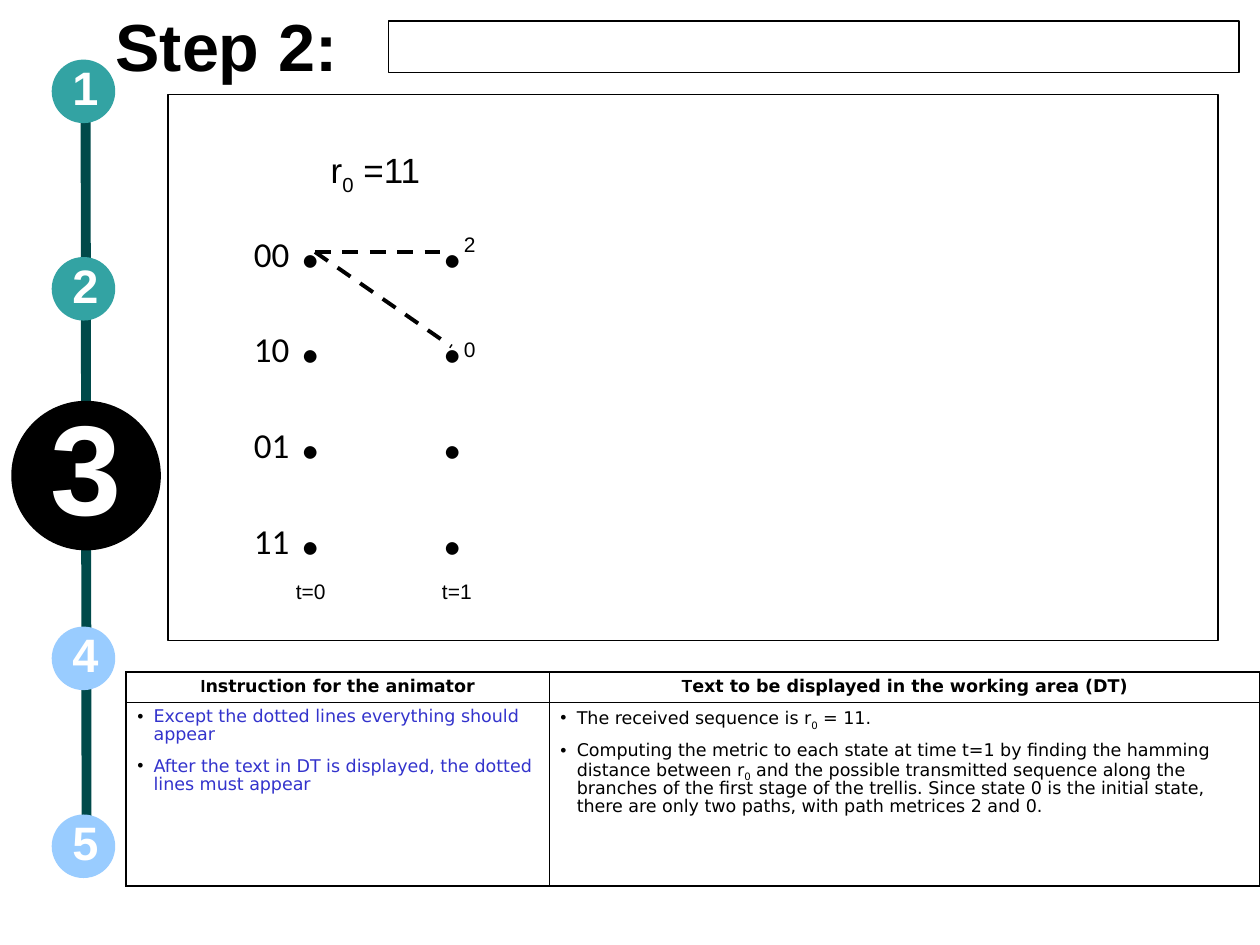
from lxml.etree import SubElement
from pptx import Presentation
from pptx.dml.color import RGBColor
from pptx.enum.dml import MSO_LINE
from pptx.enum.shapes import MSO_CONNECTOR, MSO_SHAPE
from pptx.enum.text import MSO_ANCHOR, MSO_AUTO_SIZE, PP_ALIGN
from pptx.oxml.ns import qn
from pptx.util import Emu, Inches, Pt

COLORS = {"ink": "000000", "paper": "FFFFFF", "rail": "004A4A",
          "done": "33A3A3", "next": "99CCFF", "note": "3333CC"}
SUB = {"baseline": -25}


class StepSlide:
    """Draws a storyboard step on a grid of 120 columns by 90 rows."""

    def __init__(self):
        self.deck = Presentation()
        self.deck.slide_width, self.deck.slide_height = Inches(10), Inches(7.5)
        self.unit = self.deck.slide_width / 120
        self.slide = self.deck.slides.add_slide(self.deck.slide_layouts[5])
        self.shapes = self.slide.shapes

    def span(self, *cells):
        return [Emu(round(cell * self.unit)) for cell in cells]

    def color(self, name):
        return RGBColor.from_string(COLORS[name])

    def frame(self, frame, margins, **values):
        sides = ("margin_left", "margin_top", "margin_right", "margin_bottom")
        settings = dict(zip(sides, map(Inches, margins * 2)), word_wrap=True,
                        auto_size=MSO_AUTO_SIZE.NONE, vertical_anchor=MSO_ANCHOR.TOP)
        for key, value in {**settings, **values}.items():
            setattr(frame, key, value)

    def paragraph(self, frame, runs, first=False, tabs=(), hang=None, bullet=False,
                  ink="ink", size=12, name="Arial", bold=False, **layout):
        target = frame.paragraphs[0] if first else frame.add_paragraph()
        props = target._p.get_or_add_pPr()
        if hang:
            props.set("marL", str(Inches(hang)))
            props.set("indent", str(-Inches(hang) if bullet else 0))
        if bullet:
            tint = SubElement(props, qn("a:buClr"))
            SubElement(tint, qn("a:srgbClr"), val=COLORS["ink"])
            SubElement(props, qn("a:buFont"), typeface="Arial")
            SubElement(props, qn("a:buChar"), char="•")
        if tabs:
            stops = SubElement(props, qn("a:tabLst"))
            for stop in tabs:
                SubElement(stops, qn("a:tab"), pos=str(Inches(stop)), algn="l")
        for key, value in layout.items():
            setattr(target, key, value)
        for text, changes in runs:
            style = {"size": size, "name": name, "bold": bold, **changes}
            run = target.add_run()
            run.text = text
            run.font.color.rgb = self.color(ink)
            if "baseline" in style:
                run._r.get_or_add_rPr().set("baseline", str(style.pop("baseline") * 1000))
            style["size"] = Pt(style["size"])
            for key, value in style.items():
                setattr(run.font, key, value)

    def title(self, text, *box):
        heading = self.shapes.title
        for key, value in zip(("left", "top", "width", "height"), self.span(*box)):
            setattr(heading, key, value)
        self.frame(heading.text_frame, (0, 0))
        self.paragraph(heading.text_frame, [(text, {})], first=True, size=38, bold=True,
                       alignment=PP_ALIGN.LEFT, line_spacing=0.96)

    def panel(self, kind, *box, fill=None, outline=None):
        panel = self.shapes.add_shape(kind, *self.span(*box))
        panel.shadow.inherit = False
        if fill:
            panel.fill.solid()
            panel.fill.fore_color.rgb = self.color(fill)
        else:
            panel.fill.background()
        if outline:
            panel.line.color.rgb, panel.line.width = self.color(outline), Pt(0.75)
        else:
            panel.line.fill.background()
        return panel

    def marker(self, number, x, y, diameter, fill, size):
        disc = self.panel(MSO_SHAPE.OVAL, x - diameter / 2, y - diameter / 2,
                          diameter, diameter, fill=fill)
        self.frame(disc.text_frame, (0.09, 0.04), vertical_anchor=MSO_ANCHOR.MIDDLE)
        self.paragraph(disc.text_frame, [(str(number), {})], first=True, ink="paper", size=size,
                       bold=True, alignment=PP_ALIGN.CENTER, line_spacing=0.86)

    def line(self, *ends, ink="ink", width=2.25, dash=None):
        line = self.shapes.add_connector(MSO_CONNECTOR.STRAIGHT, *self.span(*ends))
        line.line.color.rgb, line.line.width = self.color(ink), Pt(width)
        line.line.dash_style = dash
        SubElement(line._element.spPr, qn("a:effectLst"))

    def text(self, rows, *box):
        area = self.shapes.add_textbox(*self.span(*box)).text_frame
        self.frame(area, (0.1, 0.05))
        for index, row in enumerate(rows):
            self.paragraph(area, first=index == 0, line_spacing=0.76, **row)

    def border(self, cell, widths):
        props = cell._tc.get_or_add_tcPr()
        for index, (side, width) in enumerate(zip("LRTB", widths)):
            edge = props.makeelement(qn(f"a:ln{side}"), {"w": str(Pt(width))})
            fill = SubElement(edge, qn("a:solidFill"))
            SubElement(fill, qn("a:srgbClr"), val=COLORS["ink"])
            props.insert(index, edge)

    def table(self, columns, box, widths, heights):
        table = self.shapes.add_table(len(heights), len(widths), *self.span(*box)).table
        for tracks, key, sizes in ((table.columns, "width", widths),
                                   (table.rows, "height", heights)):
            for track, size in zip(tracks, self.span(*sizes)):
                setattr(track, key, size)
        for col, (heading, ink, items) in enumerate(columns):
            head = [(heading[0], {"name": "Arial"}), (heading[1:], {})]
            for row, entries in enumerate(([head], items)):
                cell = table.cell(row, col)
                cell.fill.background()
                cell.margin_left = cell.margin_right = Inches(0.09)
                cell.margin_top = cell.margin_bottom = Inches(0.05)
                cell.vertical_anchor = MSO_ANCHOR.TOP if row else MSO_ANCHOR.MIDDLE
                self.border(cell, [1.08 if outer else 0.45
                                   for outer in (col == 0, col == 1, row == 0, row == 1)])
                for index, runs in enumerate(entries):
                    self.paragraph(cell.text_frame, runs, first=index == 0, hang=0.13 if row else None,
                                   bullet=row == 1, ink=ink if row else "ink", size=10,
                                   name="DejaVu Sans", bold=row == 0, line_spacing=0.87,
                                   space_before=Pt(8 if index else 0),
                                   alignment=PP_ALIGN.LEFT if row else PP_ALIGN.CENTER)


def main():
    step = StepSlide()
    step.title("Step 2:", 11, 1, 26, 8)
    step.line(8.15, 7.3, 8.25, 83, ink="rail", width=5.67)
    for number, y, fill in ((1, 8.7, "done"), (2, 27.5, "done"),
                            (4, 62.7, "next"), (5, 80.6, "next")):
        step.marker(number, 7.95, y, 6.05, fill, 26.8)
    step.marker(3, 8.2, 45.3, 14.25, "ink", 73)
    stage = step.panel(MSO_SHAPE.ROUNDED_RECTANGLE, 16, 9, 100, 52, fill="paper", outline="ink")
    stage.adjustments[0] = 0
    step.panel(MSO_SHAPE.RECTANGLE, 37, 2, 81, 4.9, outline="ink")

    instructions = [[("Except the dotted lines everything should appear", {})],
                    [("After the text in DT is displayed, the dotted lines must appear", {})]]
    explanation = [
        [("The received sequence is r", {}), ("0", SUB), (" = 11.", {})],
        [("Computing the metric to each state at time t=1 by finding the hamming "
          "distance between r", {}), ("0", SUB),
         (" and the possible transmitted sequence along the branches of the first stage "
          "of the trellis. Since state 0 is the initial state, there are only two paths, "
          "with path metrices 2 and 0.", {})]]
    step.table([("Instruction for the animator", "note", instructions),
                ("Text to be displayed in the working area (DT)", "ink", explanation)],
               (12, 64, 108, 20.4), (40.3, 67.7), (2.9, 17.5))

    received = {"runs": [("r", {}), ("0", SUB), (" =11", {})], "size": 20, "hang": 0.61}
    states = [{"runs": [(f"{state} ", {"size": 20}), (".\t.", {})], "size": 60,
               "name": "Calibri", "tabs": [1.47]} for state in ("00", "10", "01", "11")]
    step.text([received, *states], 23, 14.1, 88, 41.1)
    for metric, y, end in (("2", 22, 24), ("0", 32, 33)):
        step.line(30, 24, 43, end, dash=MSO_LINE.DASH)
        step.text([{"runs": [(metric, {})]}], 43, y, 3, 3)
    step.text([{"runs": [("t=0\tt=1", {})], "tabs": [1.16]}], 27, 55, 25, 3)
    step.deck.save("out.pptx")


if __name__ == "__main__":
    main()
